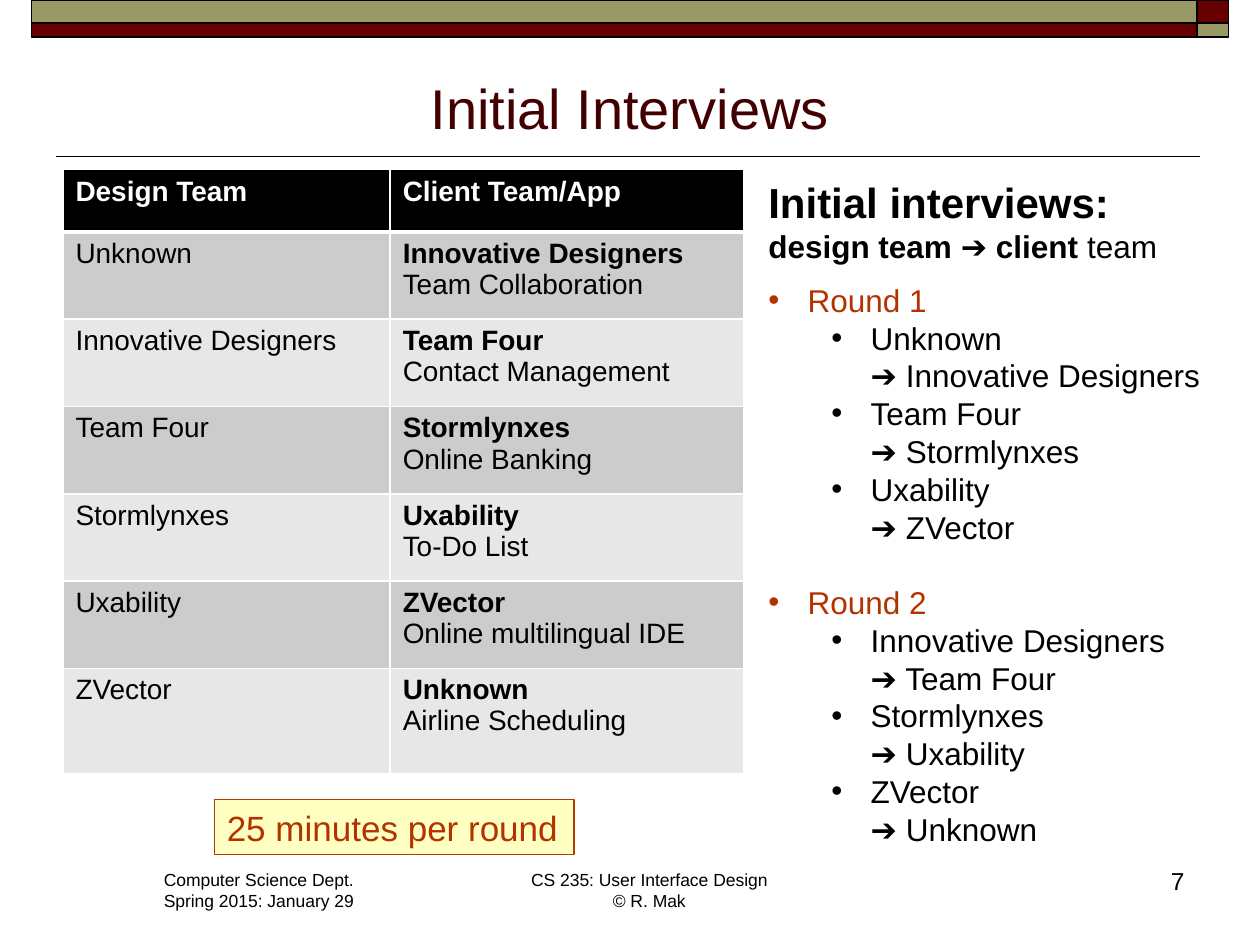
from dataclasses import dataclass

from lxml import etree
from pptx import Presentation
from pptx.dml.color import RGBColor
from pptx.enum import shapes, text
from pptx.oxml import ns
from pptx.util import Pt


@dataclass(frozen=True)
class Theme:
    font: str = "Arial"
    black: str = "000000"
    white: str = "FFFFFF"
    maroon: str = "660000"
    olive: str = "999966"
    title_color: str = "420000"
    accent: str = "B23300"
    note_fill: str = "FFFFC2"
    note_line: str = "B23C00"
    bands: tuple = ("CCCCCC", "E7E7E7")
    title: int = 32
    heading: int = 24
    note: int = 20
    body: int = 18
    cell: int = 16
    number: int = 14
    footer: int = 10


THEME = Theme()
ARROW = "\u2794"
PAIRINGS = [
    ("Unknown", "Innovative Designers", "Team Collaboration"),
    ("Innovative Designers", "Team Four", "Contact Management"),
    ("Team Four", "Stormlynxes", "Online Banking"),
    ("Stormlynxes", "Uxability", "To-Do List"),
    ("Uxability", "ZVector", "Online multilingual IDE"),
    ("ZVector", "Unknown", "Airline Scheduling"),
]


def points(*lengths):
    return [Pt(length) for length in lengths]


def rgb(color):
    return RGBColor.from_string(color)


def set_font(font, size, color=THEME.black, bold=False):
    font.name, font.size, font.bold = THEME.font, Pt(size), bold
    font.color.rgb = rgb(color)


def add_box(slide, box, fill, line, width=1.0):
    shape = slide.shapes.add_shape(shapes.MSO_SHAPE.RECTANGLE, *points(*box))
    shape.shadow.inherit = False
    shape.fill.solid()
    shape.fill.fore_color.rgb = rgb(fill)
    shape.line.color.rgb = rgb(line)
    shape.line.width = Pt(width)
    return shape


def write(frame, lines, size, color=THEME.black, align=text.PP_ALIGN.LEFT, wrap=True):
    frame.word_wrap = wrap
    for index, line in enumerate(lines):
        paragraph = frame.paragraphs[0] if index == 0 else frame.add_paragraph()
        paragraph.text = line
        paragraph.alignment = align
        set_font(paragraph.font, size, color)


def add_text(slide, box, lines, size, **style):
    write(slide.shapes.add_textbox(*points(*box)).text_frame, lines, size, **style)


def add_banner(slide, box):
    """Two stripes, with the colours swapped in the right-hand end."""
    left, top, width, height = box
    end, upper = 18, 13
    columns = [(left, width - end), (left + width - end, end)]
    rows = [(top, upper), (top + upper, height - upper)]
    for row, (y, tall) in enumerate(rows):
        for column, (x, wide) in enumerate(columns):
            fill = THEME.olive if row == column else THEME.maroon
            add_box(slide, (x, y, wide, tall), fill, THEME.black)


def add_title(slide, box, title):
    left, top, width, height = box
    placeholder = slide.shapes.title
    placeholder.left, placeholder.top, placeholder.width, placeholder.height = points(*box)
    write(placeholder.text_frame, [title], THEME.title, THEME.title_color,
          text.PP_ALIGN.CENTER)
    placeholder.text_frame.vertical_anchor = text.MSO_ANCHOR.BOTTOM
    # Rule under the title
    y = top + height + 5.5
    rule = slide.shapes.add_connector(
        shapes.MSO_CONNECTOR.STRAIGHT, *points(left - 4, y, left + width + 2, y))
    rule.line.color.rgb = rgb(THEME.black)
    rule.line.width = Pt(1)
    etree.SubElement(rule._element.spPr, ns.qn("a:effectLst"))


def set_borders(cell, header):
    properties = cell._tc.get_or_add_tcPr()
    for index, side in enumerate("LRTB"):
        width = 3 if header and side == "B" else 1
        line = etree.Element(ns.qn(f"a:ln{side}"), w=str(Pt(width)))
        fill = etree.SubElement(line, ns.qn("a:solidFill"))
        etree.SubElement(fill, ns.qn("a:srgbClr"), val=THEME.white)
        properties.insert(index, line)


def fill_cell(cell, lines, fill, color, bold_first, header):
    write(cell.text_frame, lines, THEME.cell, color)
    cell.text_frame.paragraphs[0].font.bold = bold_first
    cell.fill.solid()
    cell.fill.fore_color.rgb = rgb(fill)
    set_borders(cell, header)


def add_pairing_table(slide, box):
    rows = [(["Design Team"], ["Client Team/App"])]
    rows += [([design], [client, app]) for design, client, app in PAIRINGS]
    table = slide.shapes.add_table(len(rows), 2, *points(*box)).table
    header_height, row_height = 35.5, 49.9
    heights = [header_height] + [row_height] * (len(rows) - 2)
    heights.append(box[3] - sum(heights))
    for column, width in zip(table.columns, (187, box[2] - 187)):
        column.width = Pt(width)
    for number, (lines, height) in enumerate(zip(rows, heights)):
        table.rows[number].height = Pt(height)
        header = number == 0
        fill = THEME.black if header else THEME.bands[(number - 1) % 2]
        color = THEME.white if header else THEME.black
        for column in range(2):
            fill_cell(table.cell(number, column), lines[column], fill, color,
                      header or column == 1, header)


def add_bullet(frame, content, margin, color, level=0, gap=0):
    paragraph = frame.add_paragraph()
    paragraph.text = content
    paragraph.level = level
    paragraph.space_before = Pt(gap)
    set_font(paragraph.font, THEME.body, color)
    properties = paragraph._p.get_or_add_pPr()
    properties.set("marL", str(Pt(margin)))
    properties.set("indent", str(-Pt(22.5)))
    bullet_font = etree.Element(ns.qn("a:buFont"), typeface=THEME.font)
    bullet = etree.Element(ns.qn("a:buChar"), char="\u2022")
    properties.find(ns.qn("a:defRPr")).addprevious(bullet_font)
    bullet_font.addnext(bullet)


def add_rounds(slide, box):
    frame = slide.shapes.add_textbox(*points(*box)).text_frame
    frame.word_wrap = True
    # Heading with mixed weights
    heading = frame.paragraphs[0]
    set_font(heading.font, THEME.body)
    parts = [("Initial interviews:", THEME.heading, True),
             (f"design team {ARROW} client ", THEME.body, True),
             ("team", THEME.body, False)]
    for index, (content, size, bold) in enumerate(parts):
        if index == 1:
            heading.add_line_break()
        run = heading.add_run()
        run.text = content
        set_font(run.font, size, bold=bold)
    # Every other pairing meets in the same round
    for number, gap in enumerate((9, 21.5)):
        add_bullet(frame, f"Round {number + 1}", 22.5, THEME.accent, gap=gap)
        for design, client, _ in PAIRINGS[number::2]:
            add_bullet(frame, f"{design}\v{ARROW} {client}", 58.5, THEME.black, level=1)


def add_note(slide, box, content):
    shape = add_box(slide, box, THEME.note_fill, THEME.note_line, 0.75)
    write(shape.text_frame, [content], THEME.note, THEME.accent, wrap=False)


def add_footer(slide, box):
    left, top, width, height = box
    add_text(slide, (left, top, 124.5, height),
             ["Computer Science Dept.", "Spring 2015: January 29"],
             THEME.footer, wrap=False)
    add_text(slide, (left + 209, top, 151, height),
             ["CS 235: User Interface Design\v\u00a9 R. Mak"],
             THEME.footer, align=text.PP_ALIGN.CENTER, wrap=False)
    add_text(slide, (left + width - 150, top - 1.5, 150, 36), ["7"],
             THEME.number, align=text.PP_ALIGN.RIGHT)


def build():
    presentation = Presentation()
    presentation.slide_width, presentation.slide_height = points(720, 540)
    slide = presentation.slides.add_slide(presentation.slide_layouts[5])
    add_banner(slide, (18, 0, 684, 21))
    add_title(slide, (36, 32, 648, 52), "Initial Interviews")
    add_pairing_table(slide, (36, 97, 389, 345))
    add_rounds(slide, (432, 97.5, 266, 407))
    add_note(slide, (122.5, 457, 205.5, 31.5), "25 minutes per round")
    add_footer(slide, (86.5, 493, 597.5, 31.5))
    presentation.save("out.pptx")


build()
